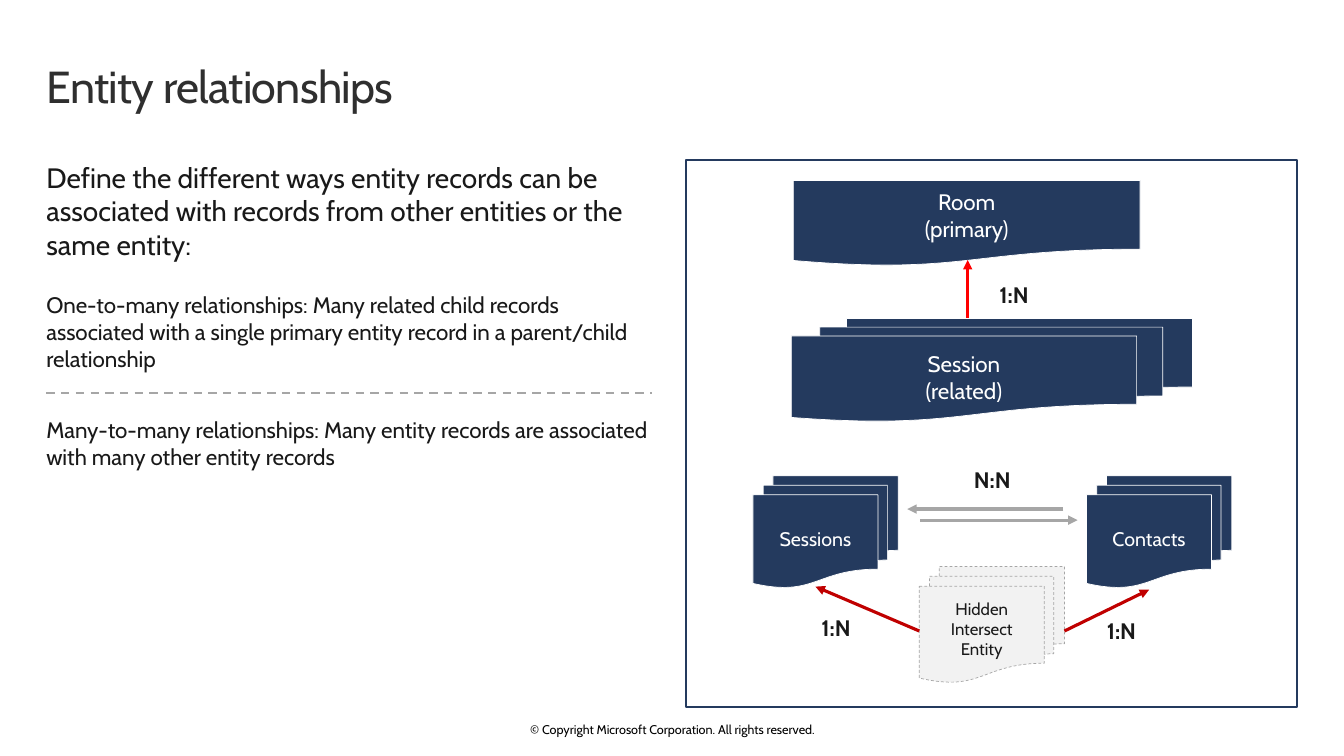
from copy import deepcopy

from lxml.etree import SubElement
from pptx import Presentation
from pptx.dml.color import RGBColor
from pptx.enum.dml import MSO_LINE
from pptx.enum.shapes import MSO_CONNECTOR, MSO_SHAPE
from pptx.enum.text import MSO_ANCHOR, PP_ALIGN
from pptx.oxml.ns import qn
from pptx.util import Inches, Pt

# The slide is a grid of square cells, 133.33 columns by 75 rows.
CELL = Inches(0.1)
COLUMNS, ROWS = 133.33, 75
LEFT = 4.6
BODY_WIDTH = 61
CONTENT_TOP = 15.9
STACK_SIZE = (14.4, 11.1)
STACK_TOP = 47.2

FONT = "Cabin"
COLORS = {
    "navy": "243A5E", "white": "FFFFFF", "black": "000000",
    "title": "2F2F2F", "text": "191919", "gray": "A6A6A6",
    "pale": "F2F2F2", "red": "FF0000", "dark red": "C00000",
}
DEFAULT_INSETS = (1, 0.5, 1, 0.5)
BODY_INSETS = (0, 0.5, 0, 0.5)
NO_INSETS = (0, 0, 0, 0)


def color(name):
    return RGBColor.from_string(COLORS[name])


def cells(*counts):
    return [round(count * CELL) for count in counts]


def set_attributes(target, values):
    for name, value in values.items():
        setattr(target, name, value)


def write(box, text, size, text_color, insets=DEFAULT_INSETS, align=PP_ALIGN.LEFT,
          anchor=MSO_ANCHOR.TOP, bold=False, spacing=None):
    """Fill a box with one paragraph; spacing is in hundredths of a point."""
    frame = box.text_frame
    left, top, right, bottom = cells(*insets)
    set_attributes(frame, {
        "word_wrap": True, "vertical_anchor": anchor,
        "margin_left": left, "margin_top": top,
        "margin_right": right, "margin_bottom": bottom,
    })
    para = frame.paragraphs[0]
    para.text = text.replace("\n", "\v")
    para.alignment = align
    for span in para.runs:
        set_attributes(span.font, {"name": FONT, "size": Pt(size), "bold": bold})
        span.font.color.rgb = color(text_color)
        if spacing:
            span.font._element.set("spc", str(spacing))
    for line_break in para._p.findall(qn("a:br")):
        line_break.append(deepcopy(para.runs[0].font._element))


def add_text(page, place, text, size, text_color="text", **layout):
    write(page.shapes.add_textbox(*cells(*place)), text, size, text_color, **layout)


def add_ratio(page, place, text):
    add_text(page, place, text, 16, align=PP_ALIGN.CENTER, bold=True)


def style_line(line, line_color, width, dashed=False):
    line.color.rgb = color(line_color)
    line.width = Pt(width)
    if dashed:
        line.dash_style = MSO_LINE.DASH


def add_line(page, start, end, line_color, width, dashed=False, arrow=False):
    line = page.shapes.add_connector(MSO_CONNECTOR.STRAIGHT, *cells(*start, *end))
    style_line(line.line, line_color, width, dashed)
    if arrow:
        SubElement(line.line._get_or_add_ln(), qn("a:tailEnd"), type="triangle")
    SubElement(line._element.spPr, qn("a:effectLst"))


def add_arrow(page, start, end, line_color):
    add_line(page, start, end, line_color, 2.25, arrow=True)


def add_frame(page, place):
    frame = page.shapes.add_shape(MSO_SHAPE.RECTANGLE, *cells(*place))
    frame.shadow.inherit = False
    frame.fill.background()
    style_line(frame.line, "navy", 1.5)


def add_entity(page, kind, place, text, size, fill="navy", line_color="white",
               text_color="white", dashed=False, anchor=MSO_ANCHOR.MIDDLE,
               insets=DEFAULT_INSETS):
    entity = page.shapes.add_shape(kind, *cells(*place))
    entity.shadow.inherit = False
    entity.fill.solid()
    entity.fill.fore_color.rgb = color(fill)
    style_line(entity.line, line_color, 0.5, dashed)
    write(entity, text, size, text_color, insets=insets,
          align=PP_ALIGN.CENTER, anchor=anchor)


def add_explanation(page):
    add_text(page, (LEFT, 4.8, 60.6, 8), "Entity relationships", 32, "title",
             insets=(0, 1, 1.6, 1), spacing=-50)
    add_text(page, (LEFT, CONTENT_TOP, BODY_WIDTH, 10.1),
             "Define the different ways entity records can be associated with "
             "records from other entities or the same entity:", 20, insets=NO_INSETS)
    add_text(page, (LEFT, 28.4, BODY_WIDTH, 9.1),
             "One-to-many relationships: Many related child records associated with "
             "a single primary entity record in a parent/child relationship",
             16, insets=BODY_INSETS)
    add_line(page, (LEFT, 39), (64.7, 39), "gray", 1.5, dashed=True)
    add_text(page, (LEFT, 40.8, BODY_WIDTH, 6.4),
             "Many-to-many relationships: Many entity records are associated with "
             "many other entity records", 16, insets=BODY_INSETS)


def add_one_to_many(page):
    add_entity(page, MSO_SHAPE.FLOWCHART_DOCUMENT, (78.7, 17.9, 34.4, 8.5),
               "Room\n(primary)", 16)
    add_arrow(page, (96, 31.6), (96, 25.8), "red")
    add_ratio(page, (97.4, 27.4, 6.4, 3.7), "1:N")
    add_entity(page, MSO_SHAPE.FLOWCHART_MULTIDOCUMENT, (78.5, 31.6, 39.8, 10.2),
               "Session\n(related)", 16)


def add_many_to_many(page):
    stack = MSO_SHAPE.FLOWCHART_MULTIDOCUMENT
    for left, name in ((74.7, "Sessions"), (107.8, "Contacts")):
        add_entity(page, stack, (left, STACK_TOP, *STACK_SIZE), name, 14)
    add_entity(page, stack, (91.2, 56.2, 14.4, 11.5), "Hidden Intersect\nEntity", 12,
               fill="pale", line_color="gray", text_color="text", dashed=True,
               anchor=MSO_ANCHOR.TOP, insets=(1, 1.2, 1, 0.5))
    for start, end, line_color in (
        ((105.5, 50.5), (90, 50.5), "gray"),
        ((91.3, 51.6), (106.9, 51.6), "gray"),
        ((91.2, 62.6), (80.9, 58.2), "dark red"),
        ((105.6, 62.6), (114, 58.5), "dark red"),
    ):
        add_arrow(page, start, end, line_color)
    for left, top, ratio in ((94.1, 45.8, "N:N"), (78.6, 60.4, "1:N"),
                             (106.9, 60.7, "1:N")):
        add_ratio(page, (left, top, 8.7, 4.5), ratio)


def main():
    deck = Presentation()
    deck.slide_width, deck.slide_height = cells(COLUMNS, ROWS)
    page = deck.slides.add_slide(deck.slide_layouts[6])
    add_frame(page, (68.1, CONTENT_TOP, 60.6, 54.2))
    add_text(page, (44.2, 71.6, 45, 1.5),
             "© Copyright Microsoft Corporation. All rights reserved.", 9, "black",
             insets=NO_INSETS, align=PP_ALIGN.CENTER, anchor=MSO_ANCHOR.MIDDLE)
    add_explanation(page)
    add_one_to_many(page)
    add_many_to_many(page)
    deck.save("out.pptx")


if __name__ == "__main__":
    main()
